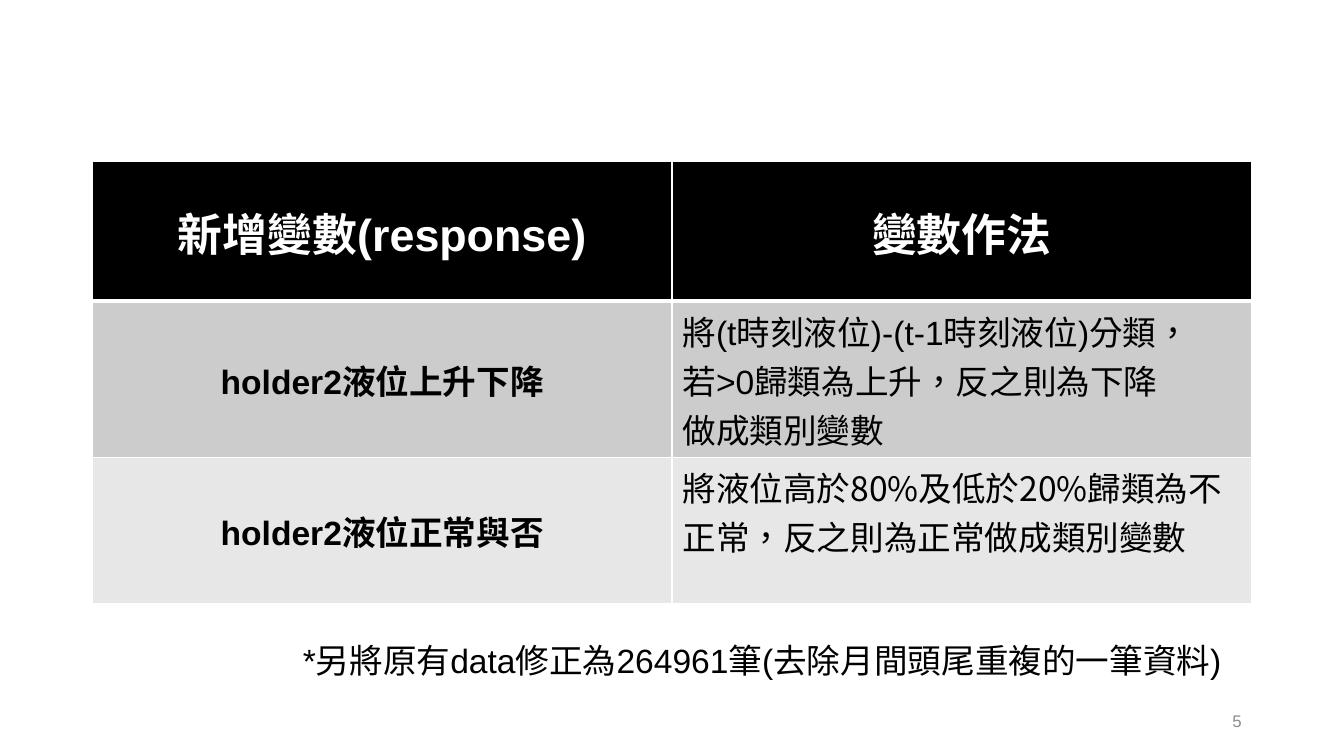
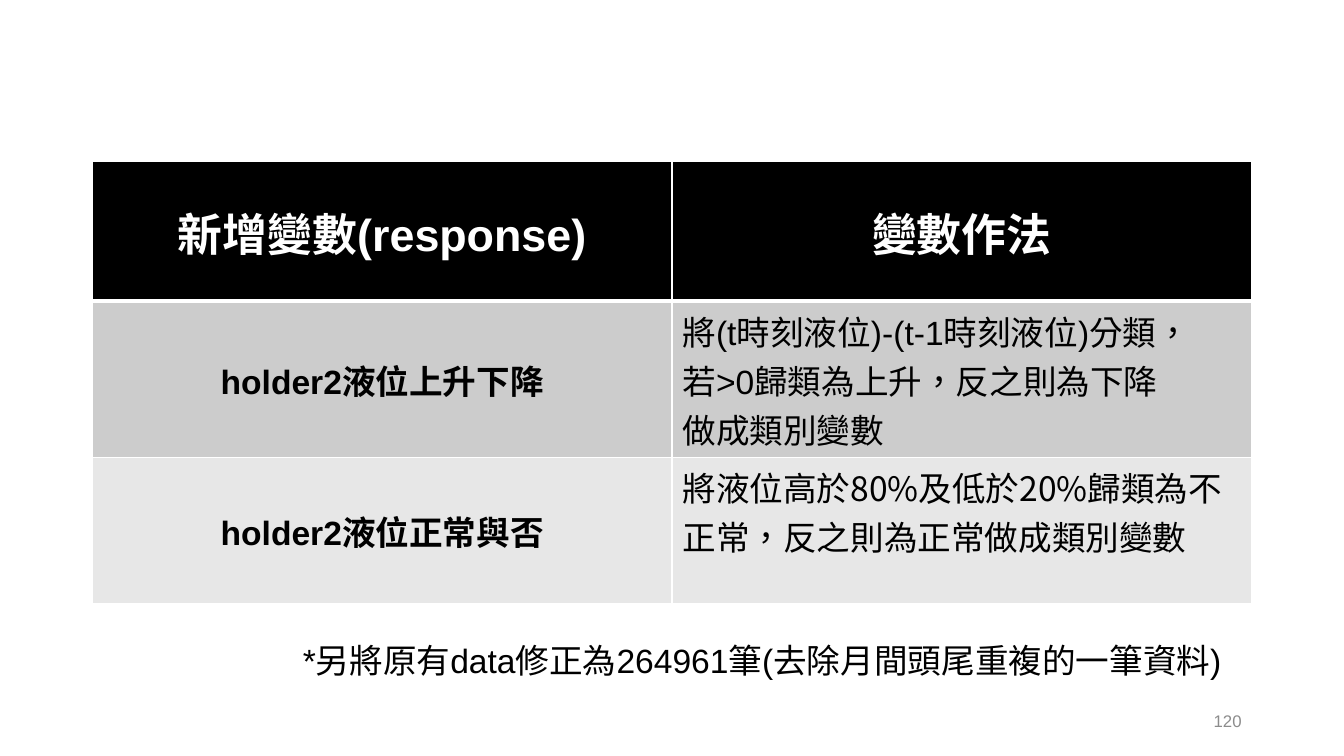
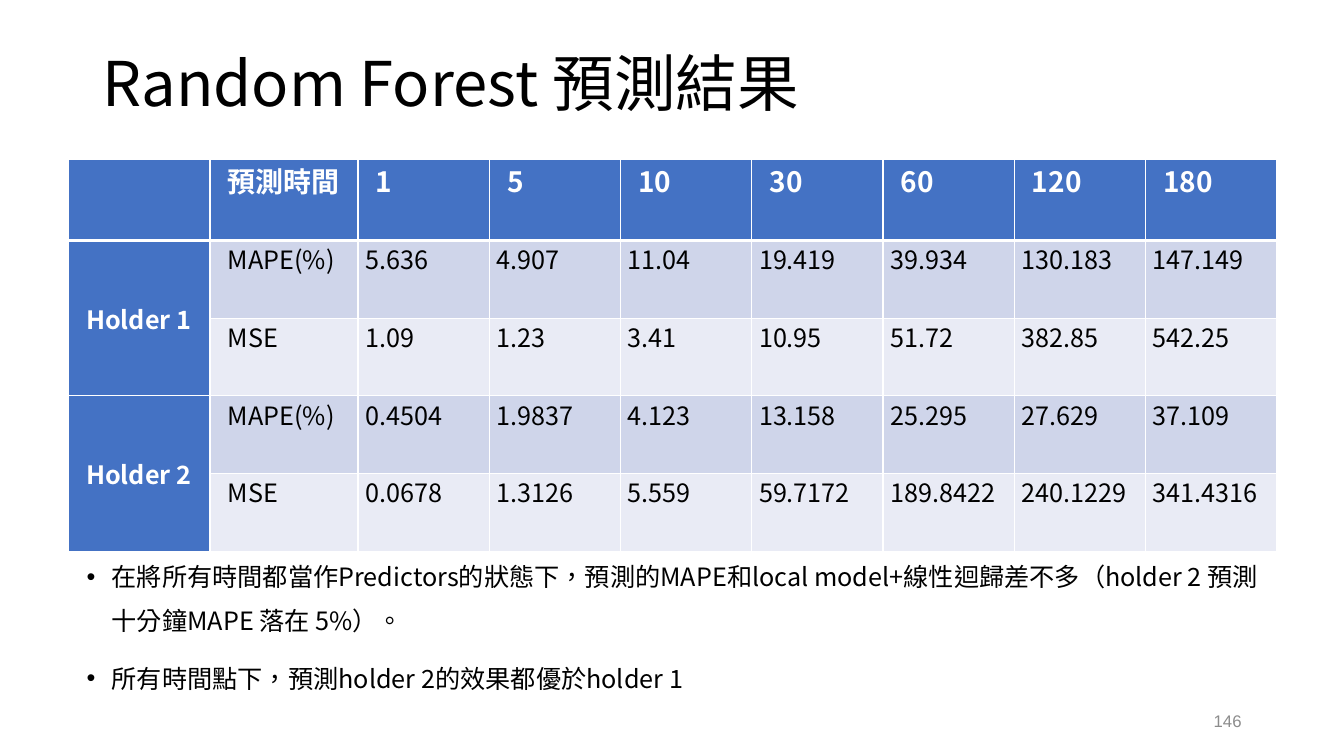
from dataclasses import dataclass, replace

from lxml.etree import SubElement
from pptx import Presentation
from pptx.dml.color import RGBColor
from pptx.enum.lang import MSO_LANGUAGE_ID
from pptx.enum.text import MSO_ANCHOR, MSO_AUTO_SIZE, PP_ALIGN
from pptx.oxml.ns import qn
from pptx.util import Pt

PX = 9525
COLORS = {
    "black": "000000", "white": "FFFFFF", "number": "8C8C8C", "blue": "4472C4",
    "gray": "CCCCCC", "pale_gray": "E7E7E7", "band": "CFD5EA", "pale_band": "E9EBF5",
}
ARIAL, NOTO = "Arial", "Noto Sans CJK SC"
MIDDLE, TOP = MSO_ANCHOR.MIDDLE, MSO_ANCHOR.TOP
LEFT, CENTER, RIGHT = PP_ALIGN.LEFT, PP_ALIGN.CENTER, PP_ALIGN.RIGHT


@dataclass(frozen=True)
class Style:
    size: int
    font: str = NOTO
    color: str = "black"
    bold: bool = False
    east: str = NOTO


@dataclass(frozen=True)
class Cell:
    paras: tuple
    style: Style
    fill: str
    align: PP_ALIGN = LEFT
    anchor: MSO_ANCHOR = TOP
    margins: tuple = (10, 5)


def rgb(name: str) -> RGBColor:
    return RGBColor.from_string(COLORS[name])


def add_run(p, text: str, style: Style) -> None:
    r = p.add_run()
    r.text = text
    f = r.font
    f.size, f.bold, f.name = Pt(style.size), style.bold, style.font
    f.color.rgb = rgb(style.color)
    f.language_id = MSO_LANGUAGE_ID.TRADITIONAL_CHINESE
    SubElement(r._r.get_or_add_rPr(), qn("a:ea"), typeface=style.east)


def fill_text(tf, paras: tuple, style: Style, align: PP_ALIGN = LEFT) -> None:
    """Write paragraphs, each a string or a tuple of (text, font) runs."""
    for i, para in enumerate(paras):
        p = tf.add_paragraph() if i else tf.paragraphs[0]
        p.alignment = align
        runs = ((para, style.font),) if isinstance(para, str) else para
        for text, font in runs:
            add_run(p, text, replace(style, font=font))


def add_text(s, box: tuple, paras: tuple, style: Style, align: PP_ALIGN = LEFT,
             anchor: MSO_ANCHOR = TOP):
    tf = s.shapes.add_textbox(*(v * PX for v in box)).text_frame
    tf.word_wrap = True
    tf.vertical_anchor = anchor
    fill_text(tf, paras, style, align)
    return tf


def add_number(s, number: int) -> None:
    add_text(s, (904, 667, 288, 38), (str(number),),
             Style(12, ARIAL, "number"), RIGHT, MIDDLE)


def set_borders(cell, top: int, bottom: int) -> None:
    tc_pr = cell._tc.get_or_add_tcPr()
    widths = {"lnL": 1, "lnR": 1, "lnT": top, "lnB": bottom}
    for i, (tag, width) in enumerate(widths.items()):
        ln = tc_pr.makeelement(qn(f"a:{tag}"), {"w": str(Pt(width))})
        fill = SubElement(ln, qn("a:solidFill"))
        SubElement(fill, qn("a:srgbClr"), val=COLORS["white"])
        tc_pr.insert(i, ln)


def add_grid(s, left: int, top: int, cols: list, heights: list, rows: list):
    shape = s.shapes.add_table(len(heights), len(cols), left * PX, top * PX,
                               sum(cols) * PX, sum(heights) * PX)
    table = shape.table
    for col, width in zip(table.columns, cols):
        col.width = width * PX
    for i, (row, height, items) in enumerate(zip(table.rows, heights, rows)):
        row.height = height * PX
        for cell, item in zip(row.cells, items):
            cell.fill.solid()
            cell.fill.fore_color.rgb = rgb(item.fill)
            cell.vertical_anchor = item.anchor
            x, y = item.margins
            cell.margin_left = cell.margin_right = x * PX
            cell.margin_top = cell.margin_bottom = y * PX
            fill_text(cell.text_frame, item.paras, item.style, item.align)
            set_borders(cell, 3 if i == 1 else 1, 1 if i else 3)
    return table


def add_variables_slide(prs, number: int) -> None:
    s = prs.slides.add_slide(prs.slide_layouts[6])
    add_number(s, number)
    head = Style(32, ARIAL, "white", True)
    body = Style(24, ARIAL)
    methods = [
        ("holder2液位上升下降", "gray",
         ("將(t時刻液位)-(t-1時刻液位)分類，", "若>0歸類為上升，反之則為下降", "做成類別變數")),
        ("holder2液位正常與否", "pale_gray",
         ((("將", ARIAL), ("液位高於80%及低於20%歸類為不正常，反之則為正常", NOTO),
           ("做成類別變數", ARIAL)),)),
    ]
    rows = [[Cell((text,), head, "black", CENTER, MIDDLE)
             for text in ("新增變數(response)", "變數作法")]]
    for name, fill, paras in methods:
        rows.append([Cell((name,), replace(body, bold=True), fill, CENTER, MIDDLE),
                     Cell(paras, body, fill)])
    add_grid(s, 88, 154, [552, 552], [133, 149, 139], rows)
    add_text(s, (279, 605, 913, 48),
             ("*另將原有data修正為264961筆(去除月間頭尾重複的一筆資料)",),
             replace(body, east=ARIAL))


def add_results_slide(prs, number: int) -> None:
    s = prs.slides.add_slide(prs.slide_layouts[5])
    title = s.shapes.title
    title.left, title.top, title.width, title.height = (
        v * PX for v in (88, 38, 1104, 89))
    tf = title.text_frame
    tf.auto_size = MSO_AUTO_SIZE.NONE
    tf.vertical_anchor = MIDDLE
    fill_text(tf, ("Random Forest 預測結果",), Style(44))
    tf.paragraphs[0].line_spacing = 0.9
    add_number(s, number)

    head = Style(20, color="white", bold=True)
    side = replace(head, size=18)
    body = Style(18)
    wide, tight = (17, 0), (7, 0)
    times = ("", "預測時間", "1", "5", "10", "30", "60", "120", "180")
    results = [
        ("Holder 1", "MAPE(%)", "5.636 4.907 11.04 19.419 39.934 130.183 147.149"),
        ("", "MSE", "1.09 1.23 3.41 10.95 51.72 382.85 542.25"),
        ("Holder 2", "MAPE(%)", "0.4504 1.9837 4.123 13.158 25.295 27.629 37.109"),
        ("", "MSE", "0.0678 1.3126 5.559 59.7172 189.8422 240.1229 341.4316"),
    ]
    rows = [[Cell((t,) if t else (), head, "blue", margins=wide) for t in times]]
    for i, (holder, metric, values) in enumerate(results):
        fill = "pale_band" if i % 2 else "band"
        rows.append([
            Cell((holder,) if holder else (), side, "blue", anchor=MIDDLE, margins=wide),
            Cell((metric,), body, fill, margins=wide),
            *(Cell((v,), body, fill, margins=tight) for v in values.split()),
        ])
    table = add_grid(s, 65, 152, [135, 141] + [125] * 7, [77] + [74] * 4, rows)
    for row in (1, 3):
        table.cell(row, 0).merge(table.cell(row + 1, 0))

    tf = add_text(s, (73, 517, 1135, 165), (
        "在將所有時間都當作Predictors的狀態下，預測的MAPE和local model+線性迴歸差不多"
        "（holder 2 預測十分鐘MAPE 落在 5%）。",
        "所有時間點下，預測holder 2的效果都優於holder 1",
    ), body)
    for i, p in enumerate(tf.paragraphs):
        p.line_spacing = 1.45
        if i:
            p.space_before = Pt(10)
        p_pr = p._p.get_or_add_pPr()
        p_pr.set("marL", str(24 * PX))
        p_pr.set("indent", str(-24 * PX))
        SubElement(p_pr, qn("a:buFont"), typeface=ARIAL)
        SubElement(p_pr, qn("a:buChar"), char="•")


def main() -> None:
    prs = Presentation()
    prs.slide_width, prs.slide_height = 1280 * PX, 720 * PX
    for number in (5, 120):
        add_variables_slide(prs, number)
    add_results_slide(prs, 146)
    prs.save("out.pptx")


if __name__ == "__main__":
    main()
